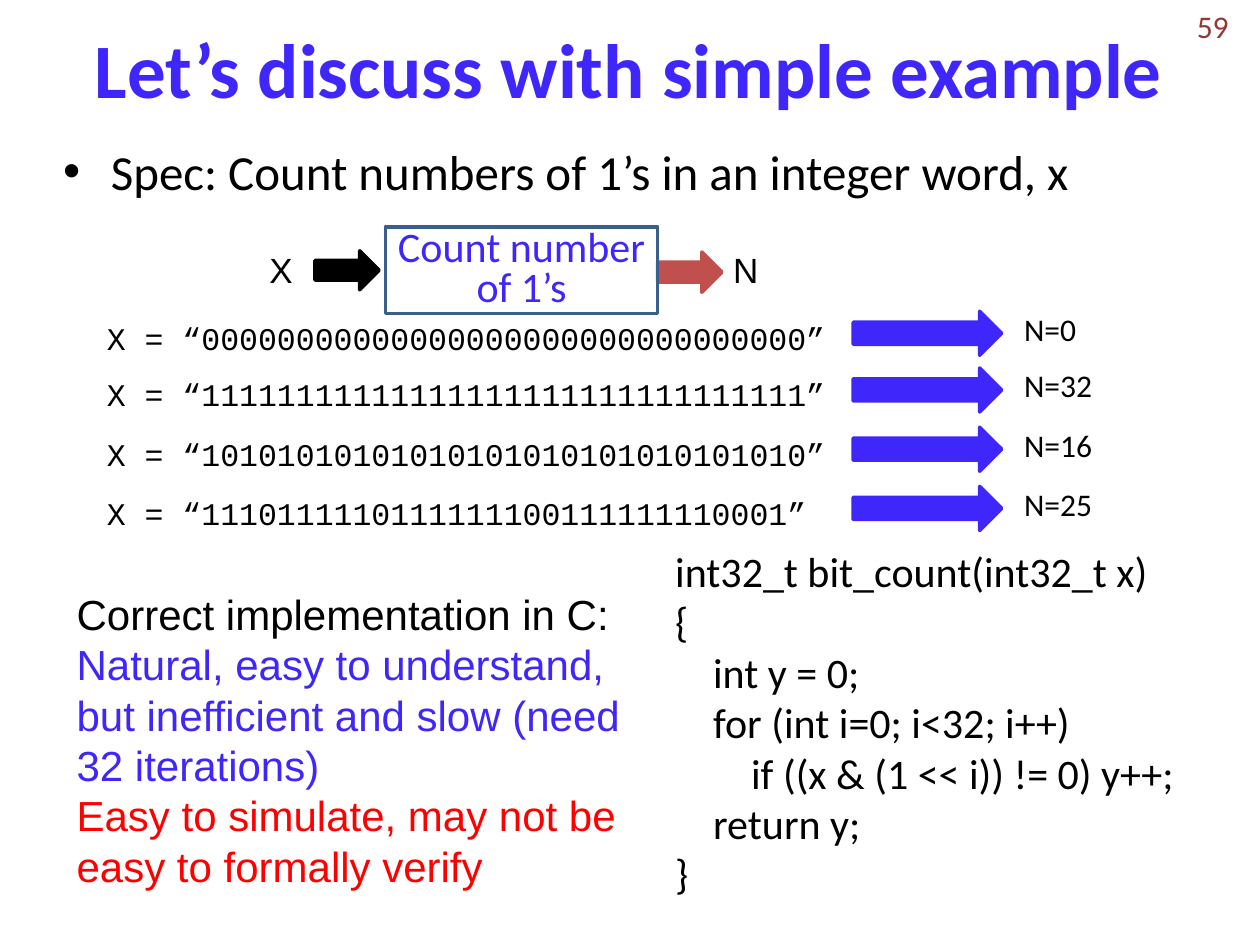
from pptx import Presentation
from pptx.dml.color import RGBColor
from pptx.enum.shapes import MSO_SHAPE
from pptx.enum.text import MSO_ANCHOR, MSO_AUTO_SIZE, PP_ALIGN
from pptx.oxml.ns import qn
from pptx.util import Inches, Pt
from lxml import etree

ARROW, RECT = MSO_SHAPE.RIGHT_ARROW, MSO_SHAPE.RECTANGLE
LEFT, CENTER, RIGHT = PP_ALIGN.LEFT, PP_ALIGN.CENTER, PP_ALIGN.RIGHT
MIDDLE, NO_FIT = MSO_ANCHOR.MIDDLE, MSO_AUTO_SIZE.NONE
COLORS = {"blue": "3F26FA", "black": "000000", "red": "FF0000",
          "brick": "C0504D", "steel": "3A5F8C", "number": "953735"}
EXAMPLES = [
    (2.48, "00000000000000000000000000000000", 0),
    (2.93, "11111111111111111111111111111111", 32),
    (3.40, "10101010101010101010101010101010", 16),
    (3.87, "1110111110111111100111111110001", 25),
]
CODE = """int32_t bit_count(int32_t x)
{
    int y = 0;
    for (int i=0; i<32; i++)
        if ((x & (1 << i)) != 0) y++;
    return y;
}"""
REMARKS = [
    ("Correct implementation in C:", "black"),
    ("Natural, easy to understand, but inefficient and slow (need 32 iterations)", "blue"),
    ("Easy to simulate, may not be easy to formally verify", "red"),
]


class Deck:
    """Holds the slide and its style, and adds each kind of element."""

    def __init__(self):
        self.prs = Presentation()
        self.prs.slide_width, self.prs.slide_height = Inches(10), Inches(7.5)
        self.s = self.prs.slides.add_slide(self.prs.slide_layouts[1])

    def color(self, name):
        return RGBColor.from_string(COLORS[name])

    def place(self, sp, box):
        sp.left, sp.top, sp.width, sp.height = [Inches(v) for v in box]

    def style(self, p, size, color="black", font="Calibri", align=LEFT, bold=False):
        p.alignment = align
        for r in p.runs:
            r.font.size, r.font.name, r.font.bold = Pt(size), font, bold
            r.font.color.rgb = self.color(color)

    def title(self, box, text):
        sp = self.s.shapes.title
        self.place(sp, box)
        tf = sp.text_frame
        tf.text = text
        tf.auto_size, tf.vertical_anchor = NO_FIT, MIDDLE
        self.style(tf.paragraphs[0], 44, "blue", align=CENTER, bold=True)

    def bullet(self, box, text):
        sp = self.s.placeholders[1]
        self.place(sp, box)
        tf = sp.text_frame
        tf.text = text
        tf.auto_size = NO_FIT
        p = tf.paragraphs[0]
        pPr = p._p.get_or_add_pPr()
        pPr.set("marL", str(Inches(0.38)))
        pPr.set("indent", str(Inches(-0.38)))
        etree.SubElement(pPr, qn("a:buFont")).set("typeface", "Arial")
        etree.SubElement(pPr, qn("a:buChar")).set("char", "•")
        p.space_before = Pt(0)
        self.style(p, 28)

    def text(self, box, lines, size, font="Calibri", align=LEFT, wrap=False):
        sp = self.s.shapes.add_textbox(*[Inches(v) for v in box])
        tf = sp.text_frame
        tf.word_wrap = wrap
        tf.text = "\n".join(line for line, _ in lines)
        for p, (_, color) in zip(tf.paragraphs, lines):
            self.style(p, size, color, font, align)
        return sp

    def shape(self, kind, box, line, fill=None):
        sp = self.s.shapes.add_shape(kind, *[Inches(v) for v in box])
        sp.shadow.inherit = False
        if fill:
            sp.fill.solid()
            sp.fill.fore_color.rgb = self.color(fill)
        else:
            sp.fill.background()
        sp.line.color.rgb = self.color(line)
        sp.line.width = Pt(2)
        return sp

    def arrow(self, box, color):
        return self.shape(ARROW, box, color, color)

    def block(self, box, text):
        tf = self.shape(RECT, box, "steel").text_frame
        tf.text = text
        tf.word_wrap, tf.vertical_anchor = True, MIDDLE
        tf.paragraphs[0].line_spacing = 0.8
        self.style(tf.paragraphs[0], 24, "blue", align=CENTER)

    def example(self, top, bits, count):
        self.text((0.75, top, 5.93, 0.4), [(f"X = “{bits}”", "black")], 18, "Courier New")
        self.arrow((6.77, top - 0.01, 1.18, 0.35), "blue")
        self.text((8.03, top - 0.07, 0.81, 0.4), [(f"N={count}", "black")], 18)


def main():
    deck = Deck()
    deck.title((0.51, 0, 8.97, 1.07), "Let’s discuss with simple example")
    deck.bullet((0.4, 1.07, 9.08, 0.73), "Spec: Count numbers of 1’s in an integer word, x")
    deck.arrow((2.5, 1.99, 0.51, 0.31), "black")
    deck.arrow((5.22, 2, 0.51, 0.32), "brick")
    deck.text((2.04, 1.92, 0.39, 0.44), [("X", "black")], 20, "Arial")
    deck.text((5.72, 1.92, 1.12, 0.44), [("N", "black")], 20, "Arial", wrap=True)
    deck.block((3.06, 1.8, 2.16, 0.69), "Count number of 1’s")
    for top, bits, count in EXAMPLES:
        deck.example(top, bits, count)
    deck.text((5.26, 4.28, 4.19, 2.93), [(line, "black") for line in CODE.split("\n")], 24)
    deck.text((0.51, 4.62, 4.71, 2.52), REMARKS, 24, "Arial", wrap=True)
    number = deck.text((7.52, 0.01, 2.33, 0.4), [("59", "number")], 18, align=RIGHT, wrap=True)
    number.text_frame.vertical_anchor = MIDDLE
    deck.prs.save("out.pptx")


if __name__ == "__main__":
    main()
